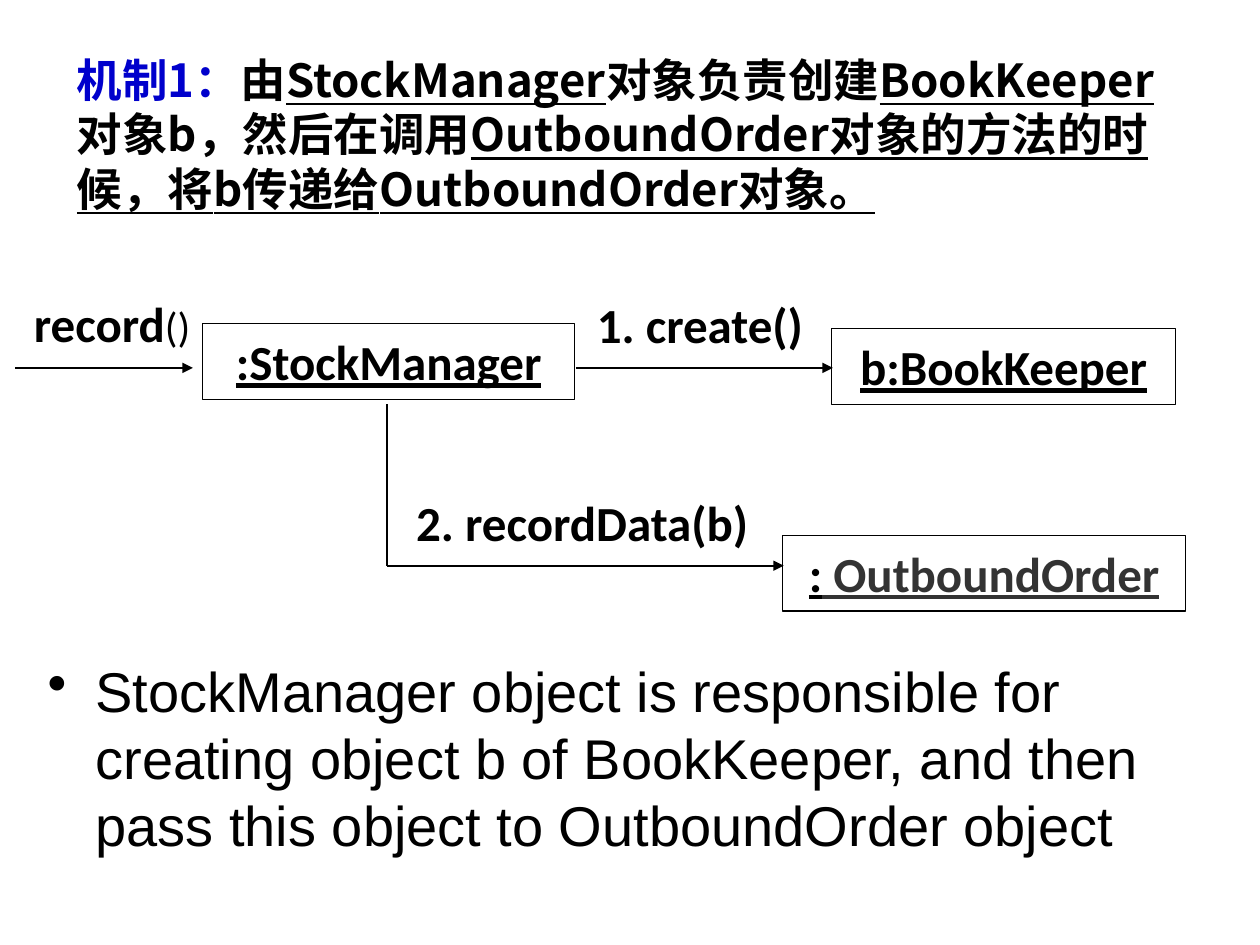
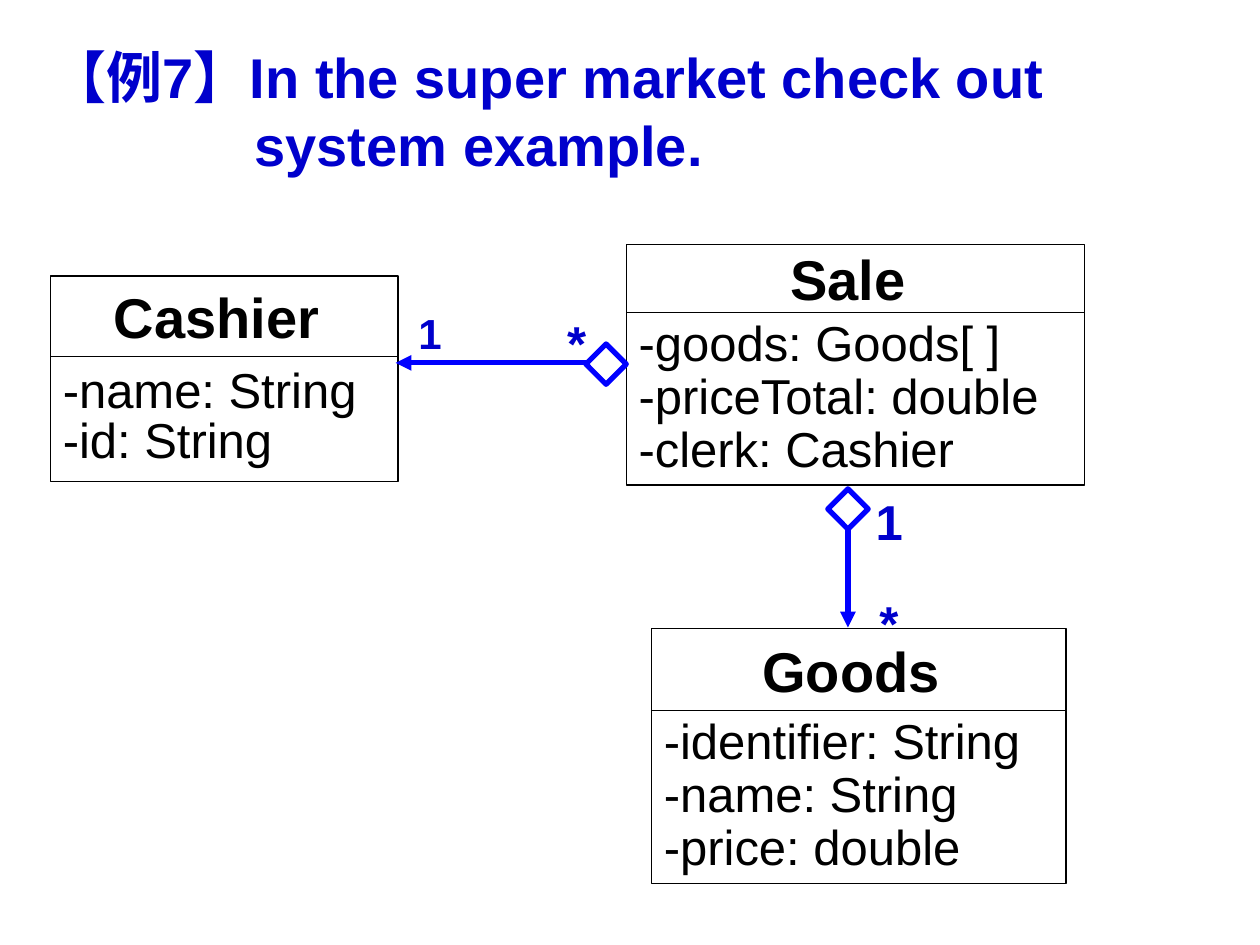
from dataclasses import dataclass

import pptx
import pptx.dml.color
import pptx.enum.shapes
import pptx.enum.text
import pptx.oxml.ns
import pptx.util
from lxml import etree

MSO = pptx.enum.shapes.MSO_SHAPE
ALIGN = pptx.enum.text.PP_ALIGN
ANCHOR = pptx.enum.text.MSO_ANCHOR
qn = pptx.oxml.ns.qn

BLACK, WHITE, GREY = "000000", "FFFFFF", "333333"
TITLE_BLUE, LINK_BLUE = "0000CC", "0000FF"
UNIT = pptx.util.Inches(0.1)  # grid of 100 columns by 75 rows
BODY_INSET = (1, 0.5, 1, 0.5)
NO_INSET = (0, 0, 0, 0)

# Text formats
TITLE_CN = dict(name="Noto Sans CJK SC", size=26, bold=True, color=BLACK)
TITLE_EN = dict(name="Arial", size=32, bold=True, color=TITLE_BLUE)
OBJECT = dict(name="Calibri", size=28, bold=True, color=BLACK, underline=True)
MESSAGE = dict(OBJECT, underline=False)
BULLET = dict(name="Arial", size=32, bold=False, color=BLACK)
CLASS_NAME = dict(BULLET, bold=True)
ATTRIBUTE = dict(BULLET, size=28)
MULTIPLICITY = dict(ATTRIBUTE, bold=True, color=TITLE_BLUE)


@dataclass
class Box:
    left: float
    top: float
    width: float
    height: float

    def emu(self) -> list[int]:
        return [grid(v) for v in (self.left, self.top, self.width, self.height)]


@dataclass
class Para:
    runs: list  # (text, changes to the format) pairs
    align: object = ALIGN.LEFT
    spacing: float = 1.0
    margin: float = 0
    indent: float = 0
    bullet: str = ""


@dataclass
class ObjectNode:
    box: Box
    runs: list


@dataclass
class Label:
    text: str
    box: Box
    size: int = 28
    extra: tuple = ()


@dataclass
class Link:
    start: tuple
    end: tuple
    arrow: bool = True


@dataclass
class UmlClass:
    name: str
    box: Box  # the name compartment
    attributes: list
    body_height: float
    spacing: float = 0.9


def grid(units: float) -> int:
    return int(units * UNIT)


def rgb(color: str):
    return pptx.dml.color.RGBColor.from_string(color)


def write(sp, paras: list[Para], fmt: dict, inset=BODY_INSET,
          anchor=ANCHOR.TOP, wrap: bool = True) -> None:
    tf = sp.text_frame
    sides = ("left", "top", "right", "bottom")
    frame = {f"margin_{side}": grid(v) for side, v in zip(sides, inset)}
    frame.update(word_wrap=wrap, vertical_anchor=anchor,
                 auto_size=pptx.enum.text.MSO_AUTO_SIZE.NONE)
    for key, value in frame.items():
        setattr(tf, key, value)
    for i, para in enumerate(paras):
        p = tf.add_paragraph() if i else tf.paragraphs[0]
        for key, value in dict(alignment=para.align, line_spacing=para.spacing,
                               space_before=pptx.util.Pt(0)).items():
            setattr(p, key, value)
        pPr = p._p.get_or_add_pPr()
        pPr.set("marL", str(grid(para.margin)))
        pPr.set("indent", str(grid(para.indent)))
        if para.bullet:
            etree.SubElement(pPr, qn("a:buChar")).set("char", para.bullet)
        else:
            etree.SubElement(pPr, qn("a:buNone"))
        for text, changes in para.runs:
            r = p.add_run()
            r.text = text
            look = {**fmt, **changes}
            look["size"] = pptx.util.Pt(look["size"])
            r.font.color.rgb = rgb(look.pop("color"))
            for key, value in look.items():
                setattr(r.font, key, value)
            if look["name"].startswith("Noto"):
                ea = etree.SubElement(r._r.get_or_add_rPr(), qn("a:ea"))
                ea.set("typeface", look["name"])


def add_slide(prs, title_box: Box, paras: list[Para], fmt: dict):
    s = prs.slides.add_slide(prs.slide_layouts[5])
    sp = s.shapes.title
    sp.left, sp.top, sp.width, sp.height = title_box.emu()
    write(sp, paras, fmt)
    return s


def add_box(s, box: Box, kind=MSO.RECTANGLE, fill: str = "",
            line: str = BLACK, weight: float = 0.75):
    sp = s.shapes.add_shape(kind, *box.emu())
    sp.shadow.inherit = False
    if fill:
        sp.fill.solid()
        sp.fill.fore_color.rgb = rgb(fill)
    else:
        sp.fill.background()
    sp.line.color.rgb = rgb(line)
    sp.line.width = pptx.util.Pt(weight)
    return sp


def add_link(s, link: Link, color: str = BLACK, weight: float = 1) -> None:
    ends = [grid(v) for v in (*link.start, *link.end)]
    cn = s.shapes.add_connector(pptx.enum.shapes.MSO_CONNECTOR.STRAIGHT, *ends)
    cn.line.color.rgb = rgb(color)
    cn.line.width = pptx.util.Pt(weight)
    if link.arrow:
        tail = etree.SubElement(cn.line._get_or_add_ln(), qn("a:tailEnd"))
        tail.set("type", "triangle")
    etree.SubElement(cn._element.spPr, qn("a:effectLst"))


def add_label(s, label: Label, fmt: dict, align) -> None:
    sp = s.shapes.add_textbox(*label.box.emu())
    runs = [(label.text, dict(size=label.size)), *label.extra]
    write(sp, [Para(runs, align)], fmt, NO_INSET, wrap=False)


def add_object(s, node: ObjectNode) -> None:
    sp = add_box(s, node.box, fill=WHITE)
    write(sp, [Para(node.runs, ALIGN.CENTER)], OBJECT,
          (0, 0.6, 0, 0.7), ANCHOR.MIDDLE)


def add_class(s, c: UmlClass) -> None:
    head = add_box(s, c.box)
    write(head, [Para([(c.name, {})], ALIGN.CENTER)], CLASS_NAME,
          (1, 0.5, 2.2, 0.5), ANCHOR.MIDDLE)
    b = c.box
    body = add_box(s, Box(b.left, b.top + b.height, b.width, c.body_height))
    write(body, [Para([(a, {})], spacing=c.spacing) for a in c.attributes],
          ATTRIBUTE, anchor=ANCHOR.MIDDLE)


def add_diamond(s, left: float, top: float) -> None:
    add_box(s, Box(left, top, 3.2, 3.2), MSO.DIAMOND, WHITE, LINK_BLUE, 3)


def build_mechanism(prs) -> None:
    under = dict(underline=True)
    title = Para([
        ("机制1：", dict(color=TITLE_BLUE)), ("由", {}), ("StockManager", under),
        ("对象负责创建", {}), ("BookKeeper", under), ("对象b，然后在调用", {}),
        ("OutboundOrder对象的方法的时候，将b传递给OutboundOrder对象。", under)])
    s = add_slide(prs, Box(5.1, 3.6, 89.9, 14.1), [title], TITLE_CN)

    # Objects, the calls between them, and the call labels
    for node in (
        ObjectNode(Box(66, 26.1, 27.3, 6), [("b:BookKeeper", {})]),
        ObjectNode(Box(16.1, 25.7, 29.5, 6), [(":StockManager", {})]),
        ObjectNode(Box(62.1, 42.5, 32, 6),
                   [(":", {}), (" OutboundOrder", dict(color=GREY))]),
    ):
        add_object(s, node)
    for link in (
        Link((1.2, 29.2), (15.3, 29.2)),
        Link((45.7, 29.2), (66.1, 29.2)),
        Link((30.7, 32.1), (30.7, 44.9), arrow=False),
        Link((30.7, 44.9), (62.2, 44.9)),
    ):
        add_link(s, link)
    for label in (
        Label("record", Box(2.5, 23.3, 12.8, 4.7),
              extra=(("()", dict(size=24, bold=False)),)),
        Label("1. create()", Box(46.9, 23.4, 17.3, 4.7)),
        Label("2. recordData(b)", Box(31.9, 39.1, 28.6, 4.7)),
    ):
        add_label(s, label, MESSAGE, ALIGN.CENTER)

    # Explanation
    sp = s.shapes.add_textbox(*Box(2.8, 51.6, 92.3, 18.9).emu())
    note = ("StockManager object is responsible for creating object b of "
            "BookKeeper, and then pass this object to OutboundOrder object")
    write(sp, [Para([(note, {})], margin=3.8, indent=-3.8, bullet="•")], BULLET)


def build_checkout(prs) -> None:
    title = [Para([("【例7】In the super market check out", {})], margin=1),
             Para([("system example.", {})], margin=17.2)]
    s = add_slide(prs, Box(2, 2.9, 93.7, 12.6), title, TITLE_EN)

    # Classes
    for c in (
        UmlClass("Cashier", Box(4, 21.9, 27.6, 6.4),
                 ["-name: String", "-id: String"], 9.9, 0.85),
        UmlClass("Goods", Box(51.7, 49.9, 32.9, 6.5),
                 ["-identifier: String", "-name: String", "-price: double"], 13.7),
        UmlClass("Sale", Box(49.7, 19.4, 36.4, 5.4),
                 ["-goods: Goods[ ]", "-priceTotal: double", "-clerk: Cashier"],
                 13.7),
    ):
        add_class(s, c)

    # Aggregations and their multiplicities
    for link, diamond in (
        (Link((49.5, 28.8), (31.4, 28.8)), (46.5, 27.3)),
        (Link((67.3, 38.8), (67.3, 49.8)), (65.7, 38.8)),
    ):
        add_link(s, link, LINK_BLUE, 3)
        add_diamond(s, *diamond)
    for label in (
        Label("1", Box(33.2, 24.4, 1.9, 4), 24),
        Label("*", Box(45, 24.8, 1.5, 4.7)),
        Label("1", Box(69.5, 39, 2.2, 4.7)),
        Label("*", Box(69.8, 47, 1.5, 4.7)),
    ):
        add_label(s, label, MULTIPLICITY, ALIGN.LEFT)


def main() -> None:
    prs = pptx.Presentation()
    prs.slide_width, prs.slide_height = grid(100), grid(75)
    build_mechanism(prs)
    build_checkout(prs)
    prs.save("out.pptx")


if __name__ == "__main__":
    main()
